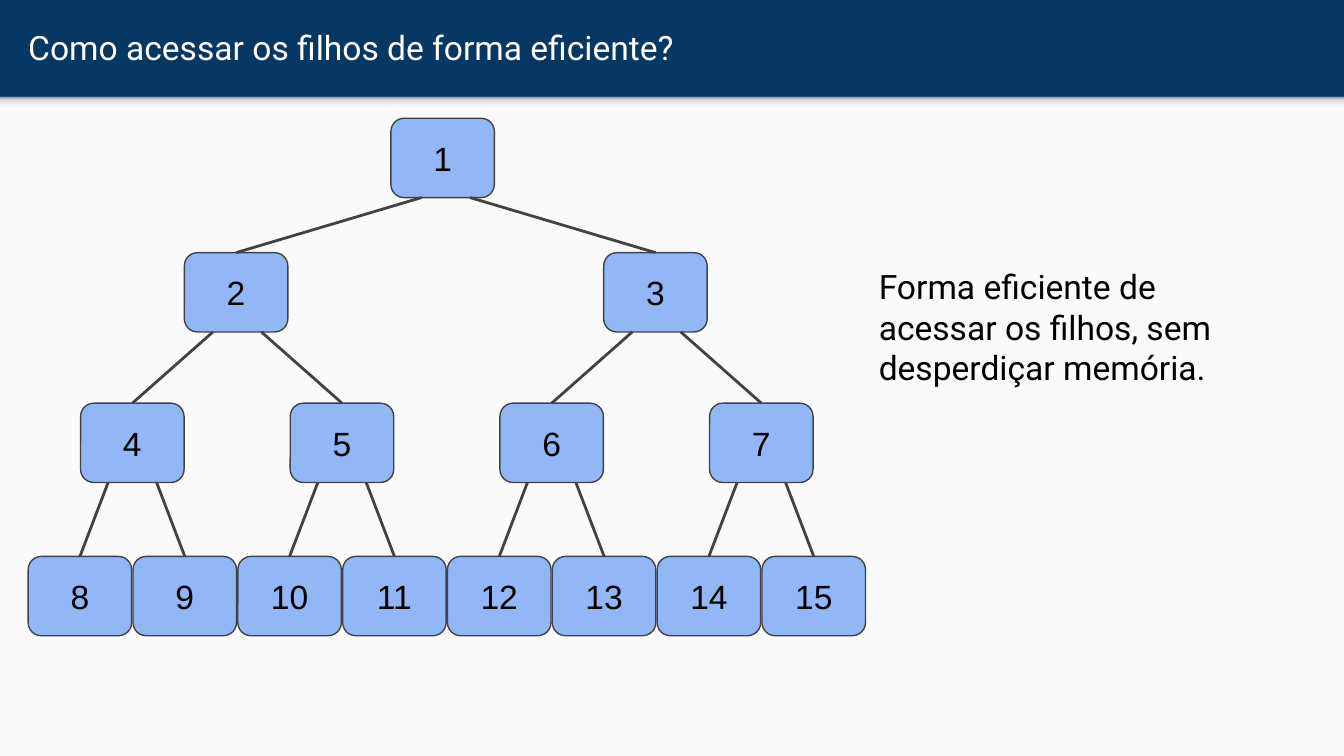
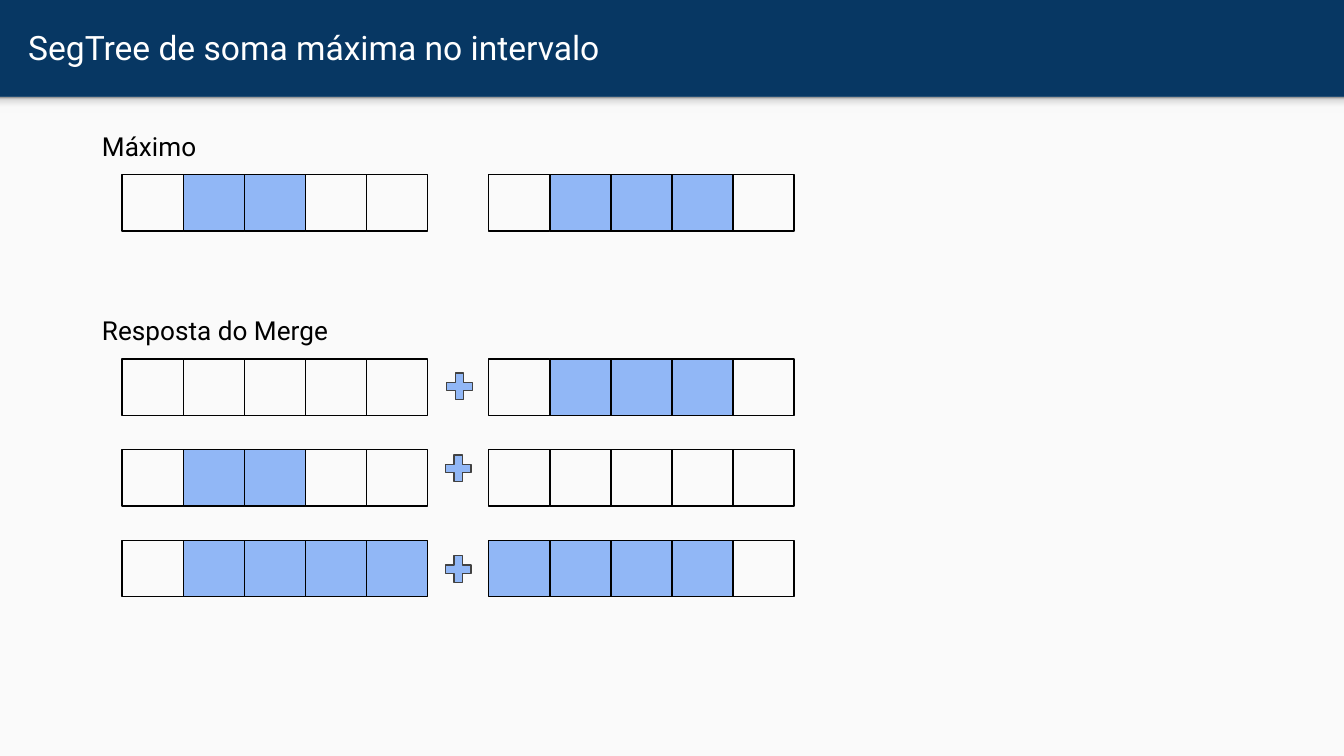
from dataclasses import dataclass

from lxml.etree import SubElement
from pptx import Presentation
from pptx.dml.color import RGBColor
from pptx.enum.shapes import MSO_CONNECTOR as Connector, MSO_SHAPE as Preset
from pptx.enum.text import MSO_ANCHOR as Anchor, MSO_AUTO_SIZE as AutoSize, PP_ALIGN as Align
from pptx.oxml.ns import qn
from pptx.shapes.autoshape import Shape
from pptx.slide import Slide
from pptx.text.text import TextFrame
from pptx.util import Inches, Pt

NAVY = RGBColor(0x07, 0x37, 0x63)
PAPER = RGBColor(0xFA, 0xFA, 0xFA)
BLUE = RGBColor(0x42, 0x85, 0xF4)
GRAY = RGBColor(0x42, 0x42, 0x42)
BLACK = RGBColor(0x00, 0x00, 0x00)
WHITE = RGBColor(0xFF, 0xFF, 0xFF)
SHADOW_STOPS = ((0, "F9F9F9"), (36, "F9F9F9"), (80, "DEDEDE"), (100, "999999"))
BLUE_ALPHA = 57

SLIDE_WIDTH = 10
SLIDE_HEIGHT = SLIDE_WIDTH * 9 / 16
BAND_HEIGHT = 0.72
TEXT_FONT = "Roboto"
NODE_FONT = "Arial"


@dataclass(frozen=True)
class Box:
    left: float
    top: float
    width: float
    height: float

    @property
    def center(self) -> float:
        return self.left + self.width / 2

    @property
    def bottom(self) -> float:
        return self.top + self.height


@dataclass(frozen=True)
class TreeLevel:
    top: float
    first_column: float
    column_step: int


@dataclass(frozen=True)
class ArrayPair:
    top: float
    left_filled: tuple[int, ...]
    right_filled: tuple[int, ...]


NODE_WIDTH, NODE_HEIGHT = 0.77, 0.59
TREE_LEFT, TREE_COLUMN = 0.21, 0.78
EDGE_SPREAD = 0.18
TREE_LEVELS = (
    TreeLevel(0.88, 3.46, 8),
    TreeLevel(1.88, 1.49, 4),
    TreeLevel(3.0, 0.5, 2),
    TreeLevel(4.14, 0, 1),
)

CELL_WIDTH, CELL_HEIGHT = SLIDE_WIDTH / 22, 0.42
CELL_COUNT = 5
LEFT_ARRAY_COLUMN, RIGHT_ARRAY_COLUMN = 2, 8
MERGE_TOP, MERGE_STEP = 2.67, 0.675
ARRAY_PAIRS = (
    ArrayPair(1.3, (1, 2), (1, 2, 3)),
    ArrayPair(MERGE_TOP, (), (1, 2, 3)),
    ArrayPair(MERGE_TOP + MERGE_STEP, (1, 2), ()),
    ArrayPair(MERGE_TOP + 2 * MERGE_STEP, (1, 2, 3, 4), (0, 1, 2, 3)),
)
PLUS_BOXES = tuple(
    Box(left, top, 0.26, 0.27) for left, top in ((3.29, 2.74), (3.28, 3.35), (3.28, 4.1))
)
HEADINGS = (("Máximo", 0.87), ("Resposta do Merge", 2.24))


def place(shape: Shape, box: Box) -> None:
    shape.left, shape.top = Inches(box.left), Inches(box.top)
    shape.width, shape.height = Inches(box.width), Inches(box.height)


def write_text(frame: TextFrame, text: str, size: int, color: RGBColor, font: str = TEXT_FONT,
               align: Align = Align.LEFT, anchor: Anchor = Anchor.TOP) -> None:
    frame.text = text
    frame.word_wrap = True
    frame.auto_size = AutoSize.NONE
    frame.vertical_anchor = anchor
    frame.margin_left = frame.margin_right = Inches(0.1)
    frame.margin_top = frame.margin_bottom = Inches(0.1)
    for paragraph in frame.paragraphs:
        paragraph.alignment = align
        for run in paragraph.runs:
            run.font.name = font
            run.font.size = Pt(size)
            run.font.color.rgb = color


def add_preset(slide: Slide, preset: Preset, box: Box, fill: RGBColor | None = None,
               line: RGBColor | None = None, alpha: int = 100) -> Shape:
    shape = slide.shapes.add_shape(preset, 0, 0, 0, 0)
    place(shape, box)
    shape.shadow.inherit = False
    if fill is None:
        shape.fill.background()
    else:
        shape.fill.solid()
        shape.fill.fore_color.rgb = fill
        if alpha < 100:
            color = shape._element.spPr.find(qn("a:solidFill"))[0]
            SubElement(color, qn("a:alpha")).set("val", str(alpha * 1000))
    if line is None:
        shape.line.fill.background()
    else:
        shape.line.color.rgb = line
        shape.line.width = Pt(0.75)
    return shape


def add_text(slide: Slide, box: Box, text: str, size: int) -> None:
    shape = slide.shapes.add_textbox(0, 0, 0, 0)
    place(shape, box)
    write_text(shape.text_frame, text, size, BLACK)


def add_band_shadow(slide: Slide) -> None:
    shape = add_preset(slide, Preset.RECTANGLE, Box(0, BAND_HEIGHT, SLIDE_WIDTH, 0.12), PAPER)
    shape.fill.gradient()
    shape.fill.gradient_angle = 90
    stops = shape._element.spPr.find(qn("a:gradFill")).find(qn("a:gsLst"))
    for stop in list(stops):
        stops.remove(stop)
    for position, color in SHADOW_STOPS:
        stop = SubElement(stops, qn("a:gs"))
        stop.set("pos", str(position * 1000))
        SubElement(stop, qn("a:srgbClr")).set("val", color)


def add_titled_slide(presentation: Presentation, title: str) -> Slide:
    slide = presentation.slides.add_slide(presentation.slide_layouts.get_by_name("Title Only"))
    paper = Box(0, BAND_HEIGHT, SLIDE_WIDTH, SLIDE_HEIGHT - BAND_HEIGHT)
    add_preset(slide, Preset.RECTANGLE, paper, PAPER)
    add_band_shadow(slide)
    place(slide.shapes.title, Box(0.11, 0.02, 9.65, 0.66))
    write_text(slide.shapes.title.text_frame, title, 18, WHITE, anchor=Anchor.MIDDLE)
    return slide


def add_edge(slide: Slide, start_x: float, start_y: float, child: Shape) -> None:
    connector = slide.shapes.add_connector(
        Connector.STRAIGHT, Inches(start_x), Inches(start_y), child.left, child.top)
    connector.end_connect(child, 0)
    connector.line.color.rgb = GRAY
    connector.line.width = Pt(1.5)
    SubElement(connector._element.spPr, qn("a:effectLst"))


def add_tree(slide: Slide) -> None:
    boxes: dict[int, Box] = {}
    nodes: dict[int, Shape] = {}
    for depth, level in enumerate(TREE_LEVELS):
        for index in range(2 ** depth):
            number = 2 ** depth + index
            column = level.first_column + index * level.column_step
            box = Box(TREE_LEFT + column * TREE_COLUMN, level.top, NODE_WIDTH, NODE_HEIGHT)
            node = add_preset(slide, Preset.ROUNDED_RECTANGLE, box, BLUE, GRAY, BLUE_ALPHA)
            write_text(node.text_frame, str(number), 18, BLACK, NODE_FONT,
                       Align.CENTER, Anchor.MIDDLE)
            boxes[number], nodes[number] = box, node
    for parent in range(1, len(nodes) // 2 + 1):
        left_child, right_child = 2 * parent, 2 * parent + 1
        middle = (boxes[left_child].center + boxes[right_child].center) / 2
        for child, offset in ((left_child, -EDGE_SPREAD), (right_child, EDGE_SPREAD)):
            add_edge(slide, middle + offset, boxes[parent].bottom, nodes[child])


def add_array(slide: Slide, first_column: int, top: float, filled: tuple[int, ...]) -> None:
    for index in range(CELL_COUNT):
        box = Box((first_column + index) * CELL_WIDTH, top, CELL_WIDTH, CELL_HEIGHT)
        fill = BLUE if index in filled else None
        add_preset(slide, Preset.RECTANGLE, box, fill, BLACK, BLUE_ALPHA)


def build_children_slide(presentation: Presentation) -> None:
    slide = add_titled_slide(presentation, "Como acessar os filhos de forma eficiente?")
    add_tree(slide)
    add_text(slide, Box(6.44, 1.88, 2.72, 1.11),
             "Forma eficiente de acessar os filhos, sem desperdiçar memória.", 18)


def build_maximum_sum_slide(presentation: Presentation) -> None:
    slide = add_titled_slide(presentation, "SegTree de soma máxima no intervalo")
    for heading, top in HEADINGS:
        add_text(slide, Box(0.66, top, 4.11, 0.44), heading, 14)
    for pair in ARRAY_PAIRS:
        add_array(slide, LEFT_ARRAY_COLUMN, pair.top, pair.left_filled)
        add_array(slide, RIGHT_ARRAY_COLUMN, pair.top, pair.right_filled)
    for box in PLUS_BOXES:
        add_preset(slide, Preset.MATH_PLUS, box, BLUE, GRAY, BLUE_ALPHA)


def main() -> None:
    presentation = Presentation()
    presentation.slide_width = Inches(SLIDE_WIDTH)
    presentation.slide_height = Inches(SLIDE_HEIGHT)
    background = presentation.slide_master.background.fill
    background.solid()
    background.fore_color.rgb = NAVY
    build_children_slide(presentation)
    build_maximum_sum_slide(presentation)
    presentation.save("out.pptx")


if __name__ == "__main__":
    main()
